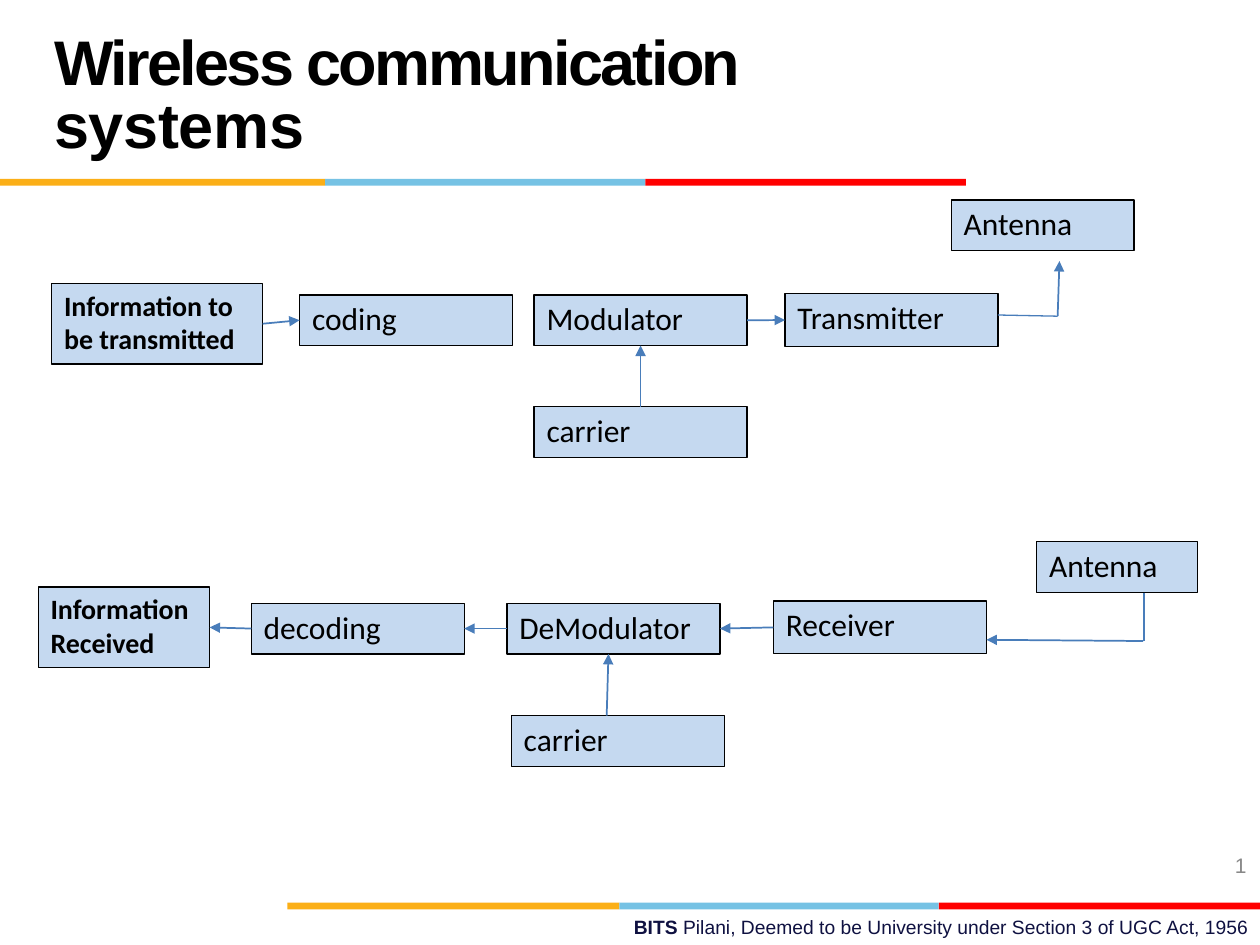
from lxml import etree
from pptx import Presentation
from pptx.dml.color import RGBColor as RGB
from pptx.enum.shapes import MSO_CONNECTOR as CONN, MSO_SHAPE as SHAPE
from pptx.enum.text import MSO_ANCHOR as ANCHOR, MSO_AUTO_SIZE as AUTO, PP_ALIGN as ALIGN
from pptx.oxml.ns import qn
from pptx.util import Pt

BLACK = RGB(0x00, 0x00, 0x00)
PALE = RGB(0xC5, 0xD9, 0xF0)
BLUE = RGB(0x49, 0x7D, 0xBA)
GOLD = RGB(0xFB, 0xAF, 0x17)
SKY = RGB(0x76, 0xC2, 0xE4)
RED = RGB(0xFF, 0x00, 0x00)
GREY = RGB(0x88, 0x88, 0x88)
NAVY = RGB(0x0F, 0x11, 0x41)


def setup(frame, left, top):
    frame.margin_left, frame.margin_top = Pt(left), Pt(top)
    frame.margin_right = frame.margin_bottom = 0
    frame.word_wrap = True
    frame.auto_size = AUTO.NONE
    frame.vertical_anchor = ANCHOR.TOP


def link(x1, y1, x2, y2, tip=True):
    line = slide.shapes.add_connector(CONN.STRAIGHT, Pt(x1), Pt(y1), Pt(x2), Pt(y2))
    line.line.color.rgb = BLUE
    line.line.width = Pt(1 if tip else 0.75)
    if tip:
        etree.SubElement(line.line._get_or_add_ln(), qn("a:tailEnd"), type="triangle")
    etree.SubElement(line._element.spPr, qn("a:effectLst"))
    return line


prs = Presentation()
prs.slide_width, prs.slide_height = Pt(720), Pt(540)
slide = prs.slides.add_slide(prs.slide_layouts[5])

bars = [
    (102.2, (0, 185.8, 368.8, 552)),
    (515.8, (164.2, 354, 536.5, 720)),
]
for top, ends in bars:
    for x, end, color in zip(ends, ends[1:], (GOLD, SKY, RED)):
        bar = slide.shapes.add_shape(SHAPE.RECTANGLE, Pt(x), Pt(top), Pt(end - x), Pt(3.9))
        bar.shadow.inherit = False
        bar.fill.solid()
        bar.fill.fore_color.rgb = color
        bar.line.fill.background()

title = slide.shapes.title
title.left, title.top, title.width, title.height = Pt(30.2), Pt(-2), Pt(458), Pt(95)
setup(title.text_frame, 0.8, 22.3)
para = title.text_frame.paragraphs[0]
para.alignment = ALIGN.LEFT
para.line_spacing = Pt(36)
for text, gap in (("Wireless communication ", "-150"), ("systems", "-20")):
    run = para.add_run()
    run.text = text
    run.font.name, run.font.size, run.font.bold = "Arial", Pt(36), True
    run.font.color.rgb = BLACK
    run._r.get_or_add_rPr().set("spc", gap)

nodes = [
    ("source", "Information to\nbe transmitted", 29.5, 162, 120.6, 46),
    ("coder", "coding", 171.2, 168.5, 121.7, 29),
    ("mod", "Modulator", 305.2, 168.5, 121.7, 29),
    ("sender", "Transmitter", 448.6, 167.8, 121.7, 30.2),
    ("mast", "Antenna", 543.6, 114.2, 104.4, 29),
    ("wave", "carrier", 305.2, 232.4, 121.7, 29),
    ("dish", "Antenna", 592.4, 309.6, 92, 29),
    ("taker", "Receiver", 442, 343.4, 121.7, 30.2),
    ("demod", "DeModulator", 289.7, 344.7, 121.7, 29),
    ("decode", "decoding", 143.6, 344.7, 121.7, 29),
    ("sink", "Information\nReceived", 21.8, 335.5, 98, 46),
    ("tone", "carrier", 292.2, 408.9, 121.7, 29),
]
boxes = {}
for key, text, x, y, w, h in nodes:
    box = slide.shapes.add_shape(SHAPE.RECTANGLE, Pt(x), Pt(y), Pt(w), Pt(h))
    box.shadow.inherit = False
    box.fill.solid()
    box.fill.fore_color.rgb = PALE
    box.line.color.rgb = BLACK
    box.line.width = Pt(0.75)
    setup(box.text_frame, 7.2, 2.6)
    box.text_frame.text = text
    bold = "\n" in text
    for para in box.text_frame.paragraphs:
        para.alignment = ALIGN.LEFT
        font = para.runs[0].font
        font.name, font.size, font.bold = "Calibri", Pt(16 if bold else 18), bold
        font.color.rgb = BLACK
    boxes[key] = box

joins = [
    ("source", 3, "coder", 1),
    ("mod", 3, "sender", 1),
    ("wave", 0, "mod", 2),
    ("taker", 1, "demod", 3),
    ("demod", 1, "decode", 3),
    ("decode", 1, "sink", 3),
]
for start, out, end, into in joins:
    line = link(0, 0, 10, 10)
    line.begin_connect(boxes[start], out)
    line.end_connect(boxes[end], into)

link(346.7, 408.9, 347.7, 373.7)
link(570.3, 180, 604.4, 180.7, tip=False)
link(604.4, 180.7, 605.4, 149.2)
link(653.8, 338.6, 653.8, 366.3, tip=False)
link(653.2, 366.3, 563.7, 365.6)

notes = [
    (696.2, 487.4, 21, 15.2, 9.4, 12, GREY, ["1"]),
    (361.4, 522.8, 357, 14.4, 0.8, 11, NAVY,
     ["BITS ", "Pilani, Deemed to be University under Section 3 of UGC Act, 1956"]),
]
for x, y, w, h, inset, size, color, parts in notes:
    box = slide.shapes.add_textbox(Pt(x), Pt(y), Pt(w), Pt(h))
    setup(box.text_frame, inset, 0)
    for text in parts:
        run = box.text_frame.paragraphs[0].add_run()
        run.text = text
        run.font.name, run.font.size = "Arial", Pt(size)
        run.font.bold = text == "BITS "
        run.font.color.rgb = color

prs.save("out.pptx")
